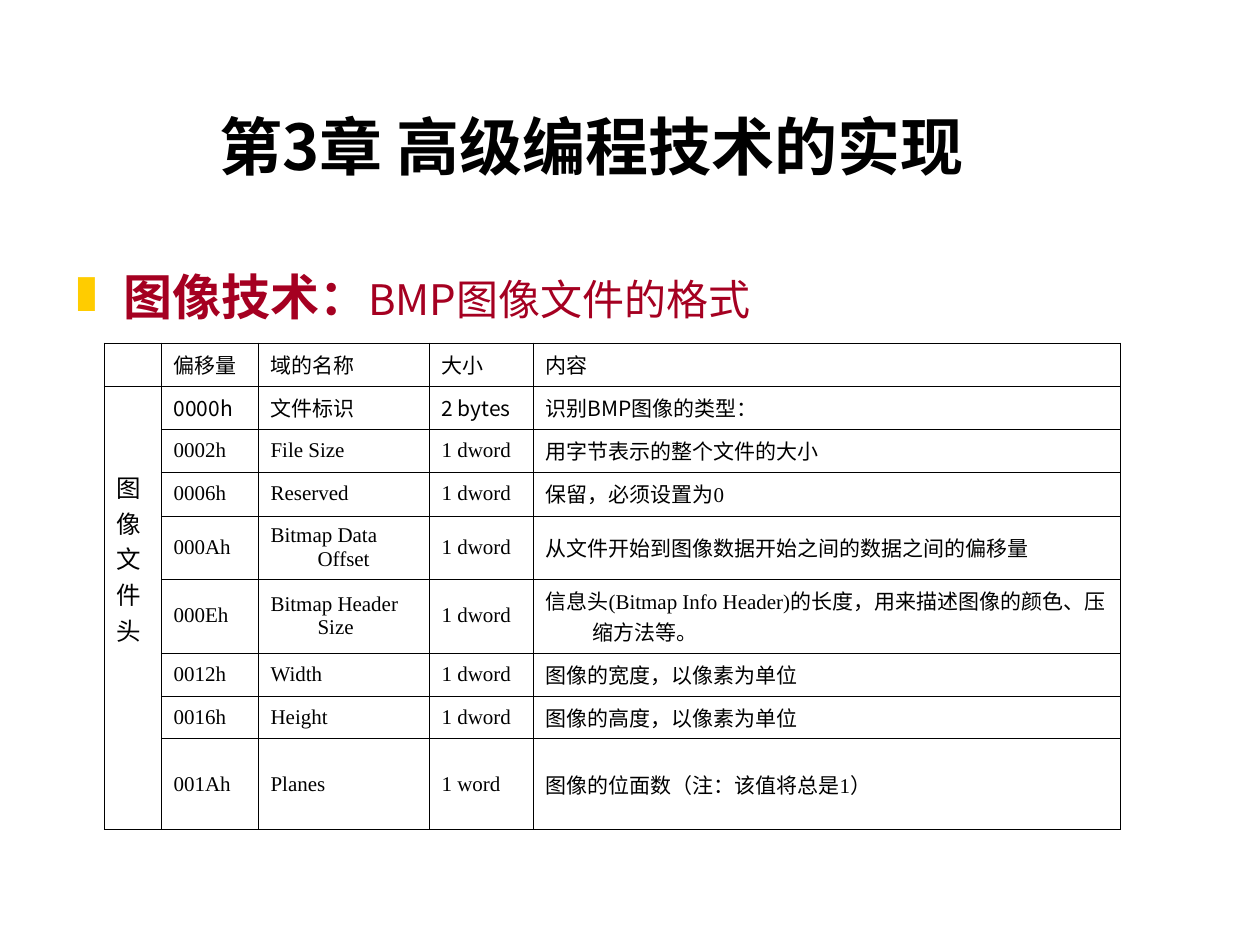
from lxml import etree
from pptx import Presentation
from pptx.dml.color import RGBColor
from pptx.enum.text import MSO_ANCHOR, PP_ALIGN
from pptx.oxml.ns import qn
from pptx.util import Emu, Pt

BLACK = RGBColor(0x00, 0x00, 0x00)
CRIMSON = RGBColor(0xA5, 0x00, 0x21)
GOLD = RGBColor(0xFF, 0xCC, 0x00)
TOP, MIDDLE, BOTTOM = MSO_ANCHOR.TOP, MSO_ANCHOR.MIDDLE, MSO_ANCHOR.BOTTOM
CENTER, JUSTIFY = PP_ALIGN.CENTER, PP_ALIGN.JUSTIFY

SANS = "Noto Sans CJK SC"
SERIF = "Times New Roman"
PX_PER_INCH = 126
HANGING = 47
BORDER = Pt(0.34)

COLUMN_WIDTHS = [57, 97, 171, 104, 587]
ROW_HEIGHTS = [43, 43, 43, 44, 63, 74, 43, 43, 91]
SANS_ROWS = 2
SIDE_LABEL = "图像文件头"
FIELDS = [
    ("", "偏移量", "域的名称", "大小", "内容"),
    ("\n".join(SIDE_LABEL), "0000h", "文件标识", "2 bytes", "识别BMP图像的类型："),
    ("", "0002h", "File Size", "1 dword", "用字节表示的整个文件的大小"),
    ("", "0006h", "Reserved", "1 dword", "保留，必须设置为0"),
    ("", "000Ah", "Bitmap Data Offset", "1 dword",
     "从文件开始到图像数据开始之间的数据之间的偏移量"),
    ("", "000Eh", "Bitmap Header Size", "1 dword",
     "信息头(Bitmap Info Header)的长度，用来描述图像的颜色、压缩方法等。"),
    ("", "0012h", "Width", "1 dword", "图像的宽度，以像素为单位"),
    ("", "0016h", "Height", "1 dword", "图像的高度，以像素为单位"),
    ("", "001Ah", "Planes", "1 word", "图像的位面数（注：该值将总是1）"),
]


def px(length):
    return Emu(round(length * 914400 / PX_PER_INCH))


def add_child(parent, tag, **attributes):
    return etree.SubElement(parent, qn(tag), attributes)


class SlideBuilder:
    """Holds the text style and the slide being filled."""

    def __init__(self, slide, color=BLACK):
        self.slide = slide
        self.color = color

    def style_font(self, font, name, size, color=None, bold=False):
        font.name = name
        font.size = Pt(size)
        font.bold = bold
        font.color.rgb = color or self.color

    def hang(self, para):
        properties = para._p.get_or_add_pPr()
        properties.set("marL", str(px(HANGING)))
        properties.set("indent", str(-px(HANGING)))
        return properties

    def text_box(self, left, top, width, height, anchor):
        box = self.slide.shapes.add_textbox(px(left), px(top), px(width), px(height))
        frame = box.text_frame
        frame.word_wrap = True
        frame.vertical_anchor = anchor
        return frame.paragraphs[0]

    def title(self, text, *place):
        para = self.text_box(*place, BOTTOM)
        para.alignment = CENTER
        para.text = text
        self.style_font(para.font, SANS, 36, bold=True)

    def bullet_heading(self, spans, *place):
        """Each span is (text, font name, size, bold)."""
        para = self.text_box(*place, TOP)
        para.alignment = JUSTIFY
        properties = self.hang(para)
        bullet_color = add_child(properties, "a:buClr")
        add_child(bullet_color, "a:srgbClr", val=str(GOLD))
        add_child(properties, "a:buFont", typeface=SERIF)
        add_child(properties, "a:buChar", char="❚")
        for text, name, size, bold in spans:
            span = para.add_run()
            span.text = text
            self.style_font(span.font, name, size, CRIMSON, bold)

    def frame_cell(self, cell):
        properties = cell._tc.get_or_add_tcPr()
        for side in ("a:lnL", "a:lnR", "a:lnT", "a:lnB"):
            line = add_child(properties, side, w=str(BORDER))
            fill = add_child(line, "a:solidFill")
            add_child(fill, "a:srgbClr", val=str(BLACK))
        cell.fill.background()

    def fill_cell(self, cell, text, name, size):
        cell.vertical_anchor = MIDDLE
        cell.text = text
        for para in cell.text_frame.paragraphs:
            self.hang(para)
            self.style_font(para.font, name, size)
            if not text:
                add_child(para._p, "a:endParaRPr", sz=str(size * 100))

    def table(self, left, top):
        table = self.slide.shapes.add_table(
            len(ROW_HEIGHTS), len(COLUMN_WIDTHS), px(left), px(top),
            px(sum(COLUMN_WIDTHS)), px(sum(ROW_HEIGHTS))).table
        table.first_row = table.horz_banding = False
        for column, width in zip(table.columns, COLUMN_WIDTHS):
            column.width = px(width)
        for row, height in zip(table.rows, ROW_HEIGHTS):
            row.height = px(height)
        for row, fields in enumerate(FIELDS):
            name = SANS if row < SANS_ROWS else SERIF
            for column, text in enumerate(fields):
                cell = table.cell(row, column)
                self.frame_cell(cell)
                self.fill_cell(cell, text, name, 12 if column else 14)
        side = table.cell(1, 0)
        side.merge(table.cell(len(FIELDS) - 1, 0))
        side.vertical_anchor = TOP
        side.margin_top = px(83)


def main():
    deck = Presentation()
    deck.slide_width, deck.slide_height = px(1260), px(945)
    page = SlideBuilder(deck.slides.add_slide(deck.slide_layouts[6]))
    page.title("第3章 高级编程技术的实现", 56, 32, 1071, 157)
    page.bullet_heading([("图像技术：", SERIF, 28, True),
                         ("BMP图像文件的格式", SANS, 24, False)],
                        64, 260, 798, 76)
    page.table(104, 343)
    deck.save("out.pptx")


if __name__ == "__main__":
    main()
